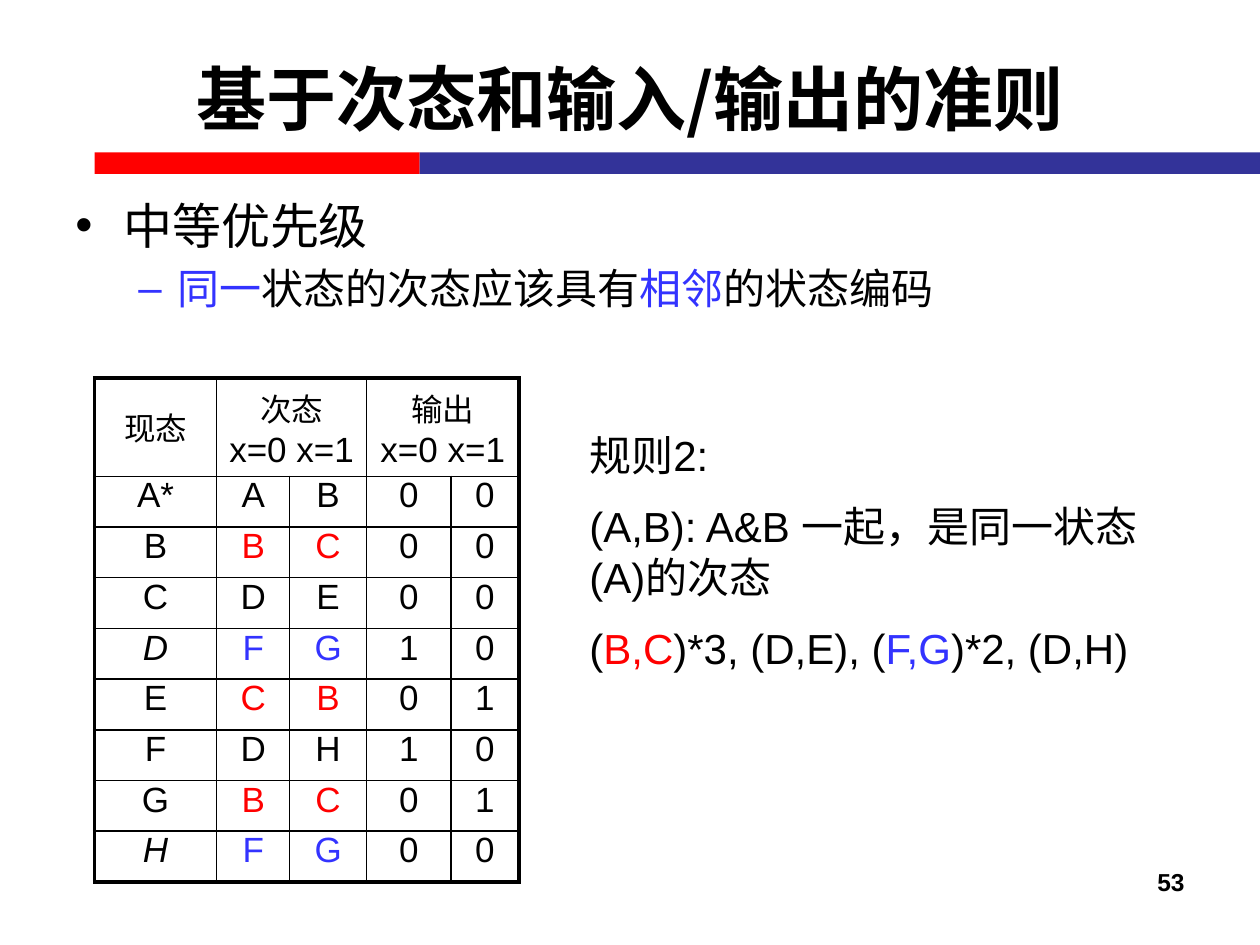
from lxml import etree
from pptx import Presentation
from pptx.dml.color import RGBColor
from pptx.enum.shapes import MSO_SHAPE
from pptx.enum.text import MSO_ANCHOR, PP_ALIGN
from pptx.oxml.ns import qn
from pptx.util import Inches, Pt

RECTANGLE = MSO_SHAPE.RECTANGLE
TOP, MIDDLE = MSO_ANCHOR.TOP, MSO_ANCHOR.MIDDLE
LEFT, CENTER, RIGHT = PP_ALIGN.LEFT, PP_ALIGN.CENTER, PP_ALIGN.RIGHT

LATIN_FONT, CHINESE_FONT = "Arial", "Noto Sans CJK SC"
BLACK, RED, BLUE, NAVY = "000000", "FF0000", "3333FF", "333399"
THIN, THICK = 1, 2.25

COLUMN_WIDTHS = [0.97, 0.58, 0.61, 0.67, 0.54]
HEADER_HEIGHT, ROW_HEIGHT = 0.78, 0.4025
STATE_ROWS = ["A* A B 0 0", "B B C 0 0", "C D E 0 0", "D F G 1 0",
              "E C B 0 1", "F D H 1 0", "G B C 0 1", "H F G 0 0"]
PAIR_COLORS = {"BC": RED, "CB": RED, "FG": BLUE}
ITALIC_STATES = "DH"


def rgb(color):
    return RGBColor.from_string(color)


def add_span(para, text, size, color=BLACK, font=LATIN_FONT, bold=False, italic=False):
    span = para.add_run()
    span.text = text
    span.font.size = Pt(size)
    span.font.name = font
    span.font.bold = bold
    span.font.italic = italic
    span.font.color.rgb = rgb(color)
    east_asian = etree.SubElement(span._r.get_or_add_rPr(), qn("a:ea"))
    east_asian.set("typeface", CHINESE_FONT)


def add_bar(page, left, width, color):
    bar = page.shapes.add_shape(RECTANGLE, Inches(left), Inches(1.21),
                                Inches(width), Inches(0.17))
    bar.shadow.inherit = False
    bar.fill.solid()
    bar.fill.fore_color.rgb = rgb(color)
    bar.line.fill.background()


def add_text(page, left, top, width, height, paragraphs, size, align=LEFT,
             anchor=TOP, space=0, **style):
    """Each paragraph is a list of (text, color) pairs."""
    box = page.shapes.add_textbox(Inches(left), Inches(top), Inches(width), Inches(height))
    frame = box.text_frame
    frame.word_wrap = True
    frame.vertical_anchor = anchor
    for index, spans in enumerate(paragraphs):
        para = frame.add_paragraph() if index else frame.paragraphs[0]
        para.alignment = align
        if index:
            para.space_before = Pt(space)
        for text, color in spans:
            add_span(para, text, size, color, **style)
    return frame


def set_bullet(para, symbol, margin, hanging):
    properties = para._p.get_or_add_pPr()
    properties.set("marL", str(Inches(margin)))
    properties.set("indent", str(-Inches(hanging)))
    etree.SubElement(properties, qn("a:buFont")).set("typeface", LATIN_FONT)
    etree.SubElement(properties, qn("a:buChar")).set("char", symbol)


def set_borders(cell, left, right, top, bottom):
    properties = cell._tc.get_or_add_tcPr()
    for side, width in zip("LRTB", (left, right, top, bottom)):
        line = etree.SubElement(properties, qn(f"a:ln{side}"), w=str(Pt(width)))
        fill = etree.SubElement(line, qn("a:solidFill"))
        etree.SubElement(fill, qn("a:srgbClr"), val=BLACK)


def fill_cell(cell, lines, anchor=TOP):
    """Each line is a (text, size, color, italic) tuple."""
    cell.margin_left = cell.margin_right = cell.margin_top = cell.margin_bottom = 0
    cell.vertical_anchor = anchor
    for index, (text, size, color, italic) in enumerate(lines):
        frame = cell.text_frame
        para = frame.add_paragraph() if index else frame.paragraphs[0]
        para.alignment = CENTER
        add_span(para, text, size, color, italic=italic)


def add_state_table(page):
    row_count, column_count = len(STATE_ROWS) + 1, len(COLUMN_WIDTHS)
    table = page.shapes.add_table(row_count, column_count, Inches(0.75), Inches(3),
                                  Inches(sum(COLUMN_WIDTHS)), Inches(4)).table
    table.first_row = table.horz_banding = False
    for column, width in zip(table.columns, COLUMN_WIDTHS):
        column.width = Inches(width)
    for index, row in enumerate(table.rows):
        row.height = Inches(ROW_HEIGHT if index else HEADER_HEIGHT)

    # Thick frame outside, thin lines inside
    for r in range(row_count):
        for c in range(column_count):
            cell = table.cell(r, c)
            set_borders(cell,
                        THIN if c else THICK,
                        THICK if c == column_count - 1 else THIN,
                        THIN if r else THICK,
                        THICK if r == row_count - 1 else THIN)
            cell.fill.background()

    # Header: the last two headings each span two columns
    fill_cell(table.cell(0, 0), [("现态", 18, BLACK, False)], MIDDLE)
    for column, heading in ((1, "次态"), (3, "输出")):
        cell = table.cell(0, column)
        other = table.cell(0, column + 1)
        cell.merge(other)
        if column + 1 == column_count - 1:
            cell._tc.tcPr.find(qn("a:lnR")).set("w", str(Pt(THICK)))
        fill_cell(cell, [(heading, 18, BLACK, False), ("x=0 x=1", 20, BLACK, False)], MIDDLE)

    # State rows: repeated next-state pairs are coloured
    for r, row in enumerate(STATE_ROWS, start=1):
        values = row.split()
        pair_color = PAIR_COLORS.get(values[1] + values[2], BLACK)
        for c, value in enumerate(values):
            color = pair_color if c in (1, 2) else BLACK
            italic = c == 0 and value in ITALIC_STATES
            fill_cell(table.cell(r, c), [(value, 20, color, italic)])


def main():
    deck = Presentation()
    deck.slide_width, deck.slide_height = Inches(10), Inches(7.5)
    page = deck.slides.add_slide(deck.slide_layouts[6])

    # Two-colour rule and page number
    add_bar(page, 0.75, 2.58, RED)
    add_bar(page, 3.33, 6.67, NAVY)
    add_text(page, 7.17, 6.83, 2.33, 0.52, [[("53", BLACK)]], 14, RIGHT, bold=True)

    # Bullets
    frame = add_text(page, 0.5, 1.5, 8.62, 1.2, [[("中等优先级", BLACK)]], 28)
    set_bullet(frame.paragraphs[0], "•", 0.38, 0.38)
    detail = frame.add_paragraph()
    detail.level = 1
    detail.space_before = Pt(5)
    set_bullet(detail, "–", 0.81, 0.31)
    for text, color in (("同一", BLUE), ("状态的次态应该具有", BLACK),
                        ("相邻", BLUE), ("的状态编码", BLACK)):
        add_span(detail, text, 24, color)

    # Rule explanation
    add_text(page, 4.58, 3.36, 5, 2.12, [
        [("规则2:", BLACK)],
        [("(A,B): A&B 一起，是同一状态 (A)的次态", BLACK)],
        [("(", BLACK), ("B,C", RED), (")*3, (D,E), (", BLACK),
         ("F,G", BLUE), (")*2, (D,H)", BLACK)],
    ], 24, space=12)

    add_state_table(page)

    # Title
    add_text(page, 0.5, 0.15, 9, 1.25, [[("基于次态和输入/输出的准则", BLACK)]], 40,
             CENTER, MIDDLE, font=CHINESE_FONT, bold=True)

    deck.save("out.pptx")


if __name__ == "__main__":
    main()
